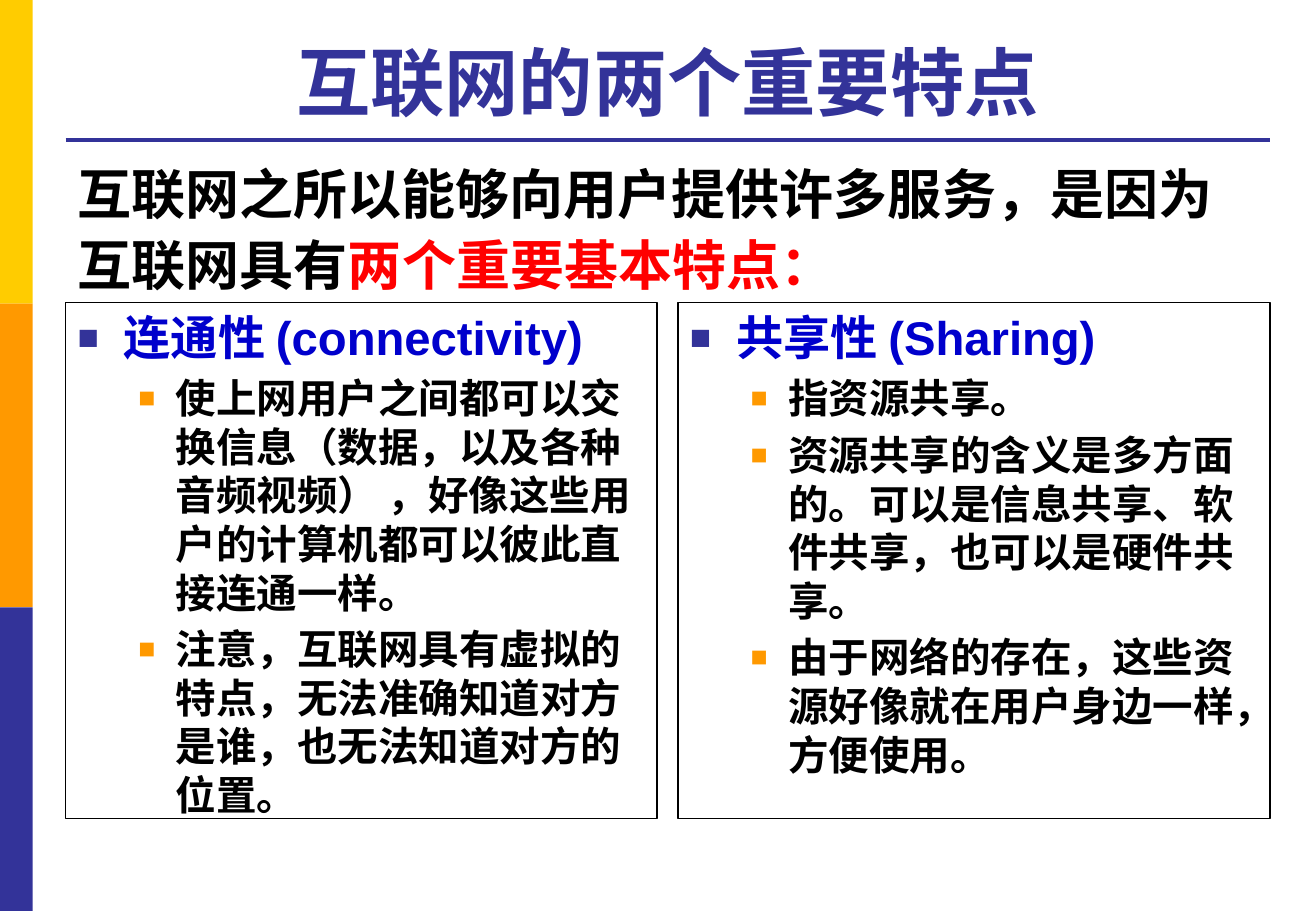
from lxml.etree import SubElement
from pptx import Presentation
from pptx.dml.color import RGBColor
from pptx.enum.shapes import MSO_CONNECTOR, MSO_SHAPE
from pptx.enum.text import MSO_ANCHOR, MSO_AUTO_SIZE, PP_ALIGN
from pptx.oxml.ns import qn
from pptx.util import Inches, Pt

TITLE = "互联网的两个重要特点"
INTRO = [
    ("互联网之所以能够向用户提供许多服务，是因为互联网具有", "000000"),
    ("两个重要基本特点：", "FF0000"),
]
FEATURES = [
    ("连通性 (connectivity)", [
        "使上网用户之间都可以交换信息（数据，以及各种音频视频） ，好像这些用户的计算机都可以彼此直接连通一样。",
        "注意，互联网具有虚拟的特点，无法准确知道对方是谁，也无法知道对方的位置。",
    ]),
    ("共享性 (Sharing)", [
        "指资源共享。",
        "资源共享的含义是多方面的。可以是信息共享、软件共享，也可以是硬件共享。",
        "由于网络的存在，这些资源好像就在用户身边一样，方便使用。",
    ]),
]
BAND_COLOURS = ["FFCC00", "FF9900", "333399"]
# size, text colour, bullet colour, bullet percent, left margin, hanging indent
LEVELS = [
    (28, "0000CC", "333399", 75, 0.38, 0.38),
    (24, "000000", "FF9900", 70, 0.81, 0.31),
]

WIDTH, HEIGHT = 10.83, 7.5
LEFT, CONTENT_WIDTH = 0.54, 9.91
BAND_WIDTH = 0.27
COLUMN_GAP = 0.17
COLUMN_WIDTH = (CONTENT_WIDTH - COLUMN_GAP) / 2


def colour(code):
    return RGBColor.from_string(code)


def inches(*lengths):
    return [Inches(length) for length in lengths]


def add_span(para, text, size, code):
    span = para.add_run()
    span.text = text
    span.font.name = "Arial"
    span.font.size = Pt(size)
    span.font.bold = True
    span.font.color.rgb = colour(code)


def set_frame(frame, anchor):
    frame.word_wrap = True
    frame.auto_size = MSO_AUTO_SIZE.NONE
    frame.vertical_anchor = anchor


def set_bullet(para, code, percent, margin, hanging):
    properties = para._p.get_or_add_pPr()
    properties.set("marL", str(Inches(margin)))
    properties.set("indent", str(-Inches(hanging)))
    bullet_colour = SubElement(properties, qn("a:buClr"))
    SubElement(bullet_colour, qn("a:srgbClr"), val=code)
    SubElement(properties, qn("a:buSzPct"), val=str(percent * 1000))
    SubElement(properties, qn("a:buFont"), typeface="Arial")
    SubElement(properties, qn("a:buChar"), char="■")


def add_rectangle(page, *place):
    box = page.shapes.add_shape(MSO_SHAPE.RECTANGLE, *inches(*place))
    box.shadow.inherit = False
    return box


def add_bands(page):
    band_height = HEIGHT / len(BAND_COLOURS)
    for row, code in enumerate(BAND_COLOURS):
        band = add_rectangle(page, 0, row * band_height, BAND_WIDTH, band_height)
        band.fill.solid()
        band.fill.fore_color.rgb = colour(code)
        band.line.fill.background()


def add_title(page):
    title = page.shapes.title
    title.left, title.top, title.width, title.height = inches(LEFT, 0.21, CONTENT_WIDTH, 0.87)
    set_frame(title.text_frame, MSO_ANCHOR.BOTTOM)
    para = title.text_frame.paragraphs[0]
    para.alignment = PP_ALIGN.CENTER
    add_span(para, TITLE, 44, "333399")

    rule = page.shapes.add_connector(
        MSO_CONNECTOR.STRAIGHT, *inches(LEFT, 1.15, LEFT + CONTENT_WIDTH, 1.15))
    rule.line.color.rgb = colour("333399")
    rule.line.width = Pt(2.25)
    SubElement(rule._element.spPr, qn("a:effectLst"))


def add_intro(page):
    box = page.shapes.add_textbox(*inches(LEFT, 1.32, CONTENT_WIDTH, 1.17))
    set_frame(box.text_frame, MSO_ANCHOR.BOTTOM)
    para = box.text_frame.paragraphs[0]
    para.line_spacing = 1.1
    for text, code in INTRO:
        add_span(para, text, 32, code)


def add_feature(page, column, heading, points):
    left = LEFT + column * (COLUMN_WIDTH + COLUMN_GAP)
    box = add_rectangle(page, left, 2.49, COLUMN_WIDTH, 4.25)
    box.fill.background()
    box.line.color.rgb = colour("000000")
    box.line.width = Pt(1)
    frame = box.text_frame
    set_frame(frame, MSO_ANCHOR.TOP)
    for index, text in enumerate([heading, *points]):
        level = min(index, 1)
        size, code, *bullet = LEVELS[level]
        para = frame.add_paragraph() if index else frame.paragraphs[0]
        para.level = level
        para.alignment = PP_ALIGN.LEFT
        set_bullet(para, *bullet)
        if index:
            para.space_before = Pt(size * 0.2)
        add_span(para, text, size, code)


def main():
    deck = Presentation()
    deck.slide_width, deck.slide_height = inches(WIDTH, HEIGHT)
    page = deck.slides.add_slide(deck.slide_layouts[5])
    add_bands(page)
    add_title(page)
    add_intro(page)
    for column, (heading, points) in enumerate(FEATURES):
        add_feature(page, column, heading, points)
    deck.save("out.pptx")


if __name__ == "__main__":
    main()
